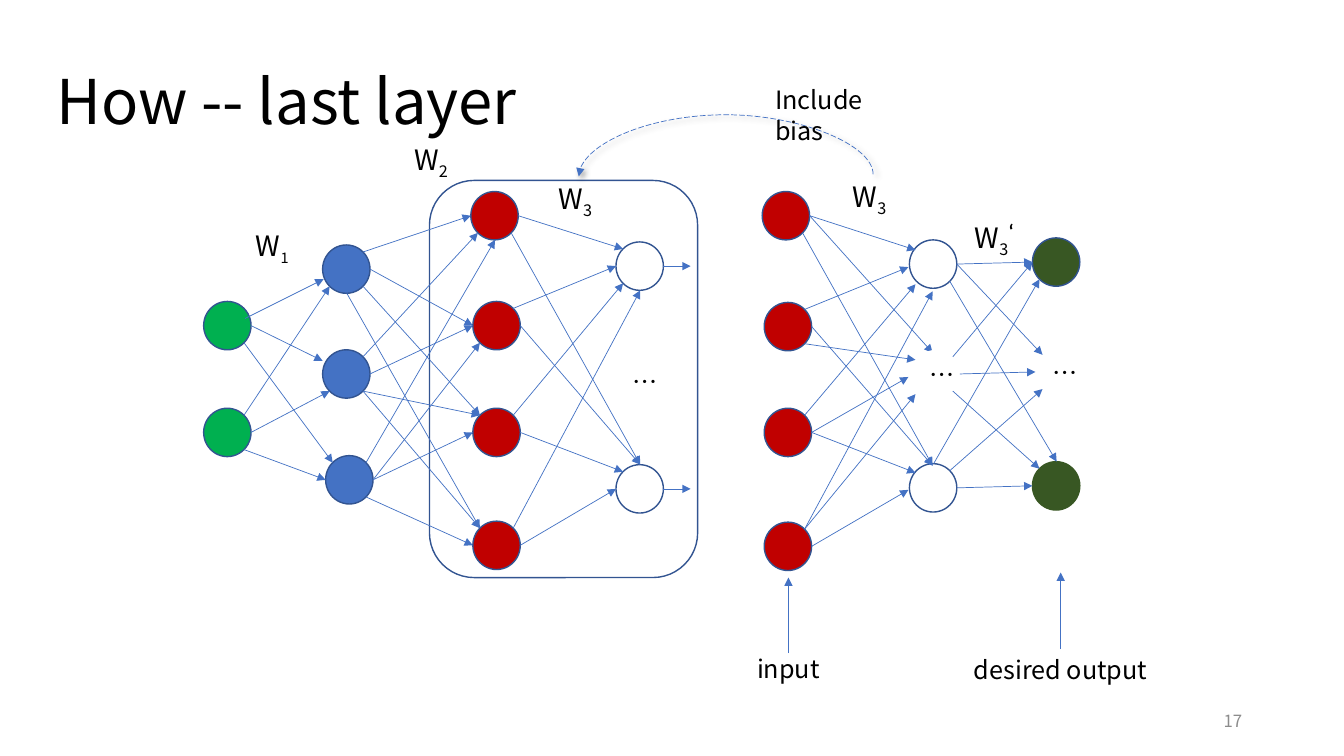
from pptx import Presentation
from pptx.dml.color import RGBColor
from pptx.enum.shapes import MSO_CONNECTOR, MSO_SHAPE
from pptx.enum.text import MSO_ANCHOR, PP_ALIGN
from pptx.oxml import parse_xml
from pptx.oxml.ns import nsdecls
from pptx.util import Emu, Pt

OVAL, ROUNDED = MSO_SHAPE.OVAL, MSO_SHAPE.ROUNDED_RECTANGLE
STRAIGHT, CURVE = MSO_CONNECTOR.STRAIGHT, MSO_CONNECTOR.CURVE
LEFT, CENTER, RIGHT = PP_ALIGN.LEFT, PP_ALIGN.CENTER, PP_ALIGN.RIGHT
TOP, MIDDLE = MSO_ANCHOR.TOP, MSO_ANCHOR.MIDDLE

PX = 9144  # 100 px to the inch
FONT = "Noto Sans CJK SC"
BLACK, WHITE, GREY = "000000", "FFFFFF", "8C8C8C"
GREEN, BLUE, RED, DARK_GREEN = "00B050", "4472C4", "C00000", "385723"
OUTLINE = "325491"

# Neurons: name -> (left, top); each is NODE_W by NODE_H
NODE_W, NODE_H = 47, 48
NODES = {
    "green1": (202, 299), "green2": (202, 405),
    "blue1": (320, 243), "blue2": (320, 347), "blue3": (323, 452),
    "red1": (467, 190), "red2": (469, 299), "red3": (469, 405), "red4": (469, 517),
    "white1": (611, 240), "white2": (611, 354), "white3": (611, 461),
    "input1": (756, 190), "input2": (758, 300), "input3": (758, 405), "input4": (758, 518),
    "hidden1": (902, 238), "hidden2": (905, 347), "hidden3": (902, 460),
    "output1": (1024, 236), "output2": (1027, 345), "output3": (1024, 458),
}
# Where arrows land on the hidden layer, a little off its neurons
LANDINGS = {"landing1": (901, 241), "landing2": (901, 350), "landing3": (901, 462)}
FILLS = {"green": GREEN, "blue": BLUE, "red": RED, "white": WHITE,
         "input": RED, "hidden": None, "output": DARK_GREEN}
DOTS = {"white2": WHITE, "hidden2": WHITE, "output2": None}

# Points on a neuron's rim, as offsets from its corner
RIM = {"T": (24, 0), "TR": (40, 7), "R": (47, 24), "BR": (40, 41),
       "B": (24, 48), "BL": (7, 41), "L": (0, 24), "TL": (7, 7)}

# Links: source number, its rim point, target number, its rim point
GREEN_LINKS = [(1, "BR", 3, "TL"), (2, "TR", 1, "BL"), (2, "R", 2, "BL"), (2, "BR", 3, "L")]
BLUE_LINKS = [
    (1, "TR", 1, "L"), (1, "R", 2, "L"), (1, "BR", 3, "TL"), (1, "B", 4, "TL"),
    (2, "TR", 1, "BL"), (2, "R", 2, "L"), (2, "BR", 3, "TL"), (2, "BR", 4, "TL"),
    (3, "TR", 1, "B"), (3, "R", 2, "BL"), (3, "R", 3, "L"), (3, "BR", 4, "L"),
]
LAST_LINKS = [
    (1, "R", 1, "TL"), (2, "TR", 1, "L"), (3, "TR", 1, "BL"), (4, "TR", 1, "B"),
    (1, "BR", 3, "T"), (2, "R", 3, "T"), (3, "R", 3, "TL"), (4, "R", 3, "L"),
]
MIDDLE_LINKS = [(1, "R", 2, "T"), (2, "BR", 2, "TL"), (3, "R", 2, "L"), (4, "TR", 2, "BL")]
OUTPUT_LINKS = [
    (1, "R", 1, "L"), (2, "TR", 1, "L"), (3, "T", 1, "BL"),
    (1, "R", 2, "TL"), (2, "R", 2, "L"), (3, "TR", 2, "BL"),
    (1, "BR", 3, "T"), (2, "BR", 3, "TL"), (3, "R", 3, "L"),
]


def px(*lengths):
    return [Emu(length * PX) for length in lengths]


def color(hex_string):
    return RGBColor.from_string(hex_string)


def style_font(font, size, hex_color=BLACK):
    font.name, font.size = FONT, Pt(size)
    font.color.rgb = color(hex_color)


def add_label(slide, box, text, size=18, hex_color=BLACK, align=LEFT, anchor=TOP, wrap=False):
    shape = slide.shapes.add_textbox(*px(*box))
    frame = shape.text_frame
    frame.word_wrap, frame.vertical_anchor = wrap, anchor
    paragraph = frame.paragraphs[0]
    paragraph.text, paragraph.alignment = text, align
    style_font(paragraph.font, size, hex_color)
    return shape


def add_script(paragraph, text, size, baseline):
    run = paragraph.add_run()
    run.text, run.font.size = text, Pt(size)
    run.font._element.set("baseline", str(baseline * 1000))
    return run


def add_weight(slide, left, top, subscript, size=20):
    label = add_label(slide, (left, top, 61, 44), "W", 20)
    paragraph = label.text_frame.paragraphs[0]
    add_script(paragraph, subscript, size, -25)
    return paragraph


def add_outlined(slide, kind, box, fill, line=OUTLINE):
    shape = slide.shapes.add_shape(kind, *px(*box))
    shape.shadow.inherit = False
    if fill:
        shape.fill.solid()
        shape.fill.fore_color.rgb = color(fill)
    else:
        shape.fill.background()
    if line:
        shape.line.color.rgb = color(line)
        shape.line.width = Pt(1)
    else:
        shape.line.fill.background()
    return shape


def add_neuron(slide, name):
    line = DARK_GREEN if name == "output3" else OUTLINE
    add_outlined(slide, OVAL, (*NODES[name], NODE_W, NODE_H), FILLS[name[:-1]], line)


def add_dots(slide, name):
    shape = add_outlined(slide, OVAL, (*NODES[name], NODE_W, NODE_H), DOTS[name], None)
    shape.text_frame.vertical_anchor = MIDDLE
    paragraph = shape.text_frame.paragraphs[0]
    paragraph.text, paragraph.alignment = "…", CENTER
    style_font(paragraph.font, 18)


def add_arrow(slide, begin, end, kind=STRAIGHT, dash="solid", shadow=""):
    connector = slide.shapes.add_connector(kind, *px(*begin, *end))
    connector.line.color.rgb = color(BLUE)
    connector.line.width = Pt(0.5)
    line = connector.line._get_or_add_ln()
    line.append(parse_xml(f'<a:prstDash {nsdecls("a")} val="{dash}"/>'))
    line.append(parse_xml(f'<a:tailEnd {nsdecls("a")} type="triangle"/>'))
    connector._element.spPr.append(
        parse_xml(f'<a:effectLst {nsdecls("a")}>{shadow}</a:effectLst>'))
    return connector


def rim_point(name, site):
    left, top = (NODES | LANDINGS)[name]
    return left + RIM[site][0], top + RIM[site][1]


def link_layers(slide, source, target, links):
    for start, start_site, stop, stop_site in links:
        add_arrow(slide, rim_point(f"{source}{start}", start_site),
                  rim_point(f"{target}{stop}", stop_site))


def add_copy_arrow(slide):
    """Dashed arc from the trained weights back to the boxed layer."""
    shadow = ('<a:outerShdw blurRad="50800" dist="38100" dir="2700000">'
              '<a:srgbClr val="000000"><a:alpha val="40000"/></a:srgbClr></a:outerShdw>')
    connector = add_arrow(slide, (721, 320), (719, 28), CURVE, "lgDash", shadow)
    properties = connector._element.spPr
    properties.xfrm.set("rot", "16200000")
    geometry = properties.prstGeom
    geometry.get_or_add_avLst().append(
        parse_xml(f'<a:gd {nsdecls("a")} name="adj1" fmla="val -2948600"/>'))


def main():
    presentation = Presentation()
    presentation.slide_width, presentation.slide_height = px(1333, 750)
    slide = presentation.slides.add_slide(presentation.slide_layouts[6])

    # Title and slide number
    add_label(slide, (942, 695, 300, 40), "17", 12, GREY, RIGHT, MIDDLE, True)
    title = add_label(slide, (46, 31, 1150, 145), "How -- last layer", 44,
                      anchor=MIDDLE, wrap=True)
    title.text_frame.paragraphs[0].line_spacing = 0.9

    # Neurons and the box around the last layer
    for name in NODES:
        if name not in DOTS:
            add_neuron(slide, name)
    add_outlined(slide, ROUNDED, (426, 179, 266, 394), None)

    # Full network
    add_dots(slide, "white2")
    add_arrow(slide, (243, 316), (321, 277))
    add_arrow(slide, (249, 323), (320, 358))
    link_layers(slide, "green", "blue", GREEN_LINKS)
    link_layers(slide, "blue", "red", BLUE_LINKS)
    link_layers(slide, "red", "white", LAST_LINKS)
    for name in ("white1", "white3"):
        x, y = rim_point(name, "R")
        add_arrow(slide, (x, y), (x + 27, y))

    # Last layer trained on its own
    link_layers(slide, "input", "landing", LAST_LINKS + MIDDLE_LINKS)
    add_dots(slide, "hidden2")
    add_dots(slide, "output2")
    link_layers(slide, "hidden", "output", OUTPUT_LINKS)
    add_copy_arrow(slide)

    # Weight names
    add_weight(slide, 244, 222, "1", 18)
    add_weight(slide, 401, 136, "2")
    add_weight(slide, 544, 175, "3")
    add_weight(slide, 836, 173, "3")
    prime = add_script(add_weight(slide, 957, 208, "3"), "‘", 24, 30)
    prime.font.name, prime.font.bold = "Calibri", True

    # Captions
    add_label(slide, (741, 643, 95, 40), "input")
    add_arrow(slide, (782, 648), (782, 573))
    desired = add_label(slide, (956, 644, 192, 40), "desired output")
    add_arrow(slide, (1052, 644), (1052, 568)).begin_connect(desired, 0)
    add_label(slide, (759, 79, 160, 40), "Include bias", wrap=True)

    presentation.save("out.pptx")


if __name__ == "__main__":
    main()
